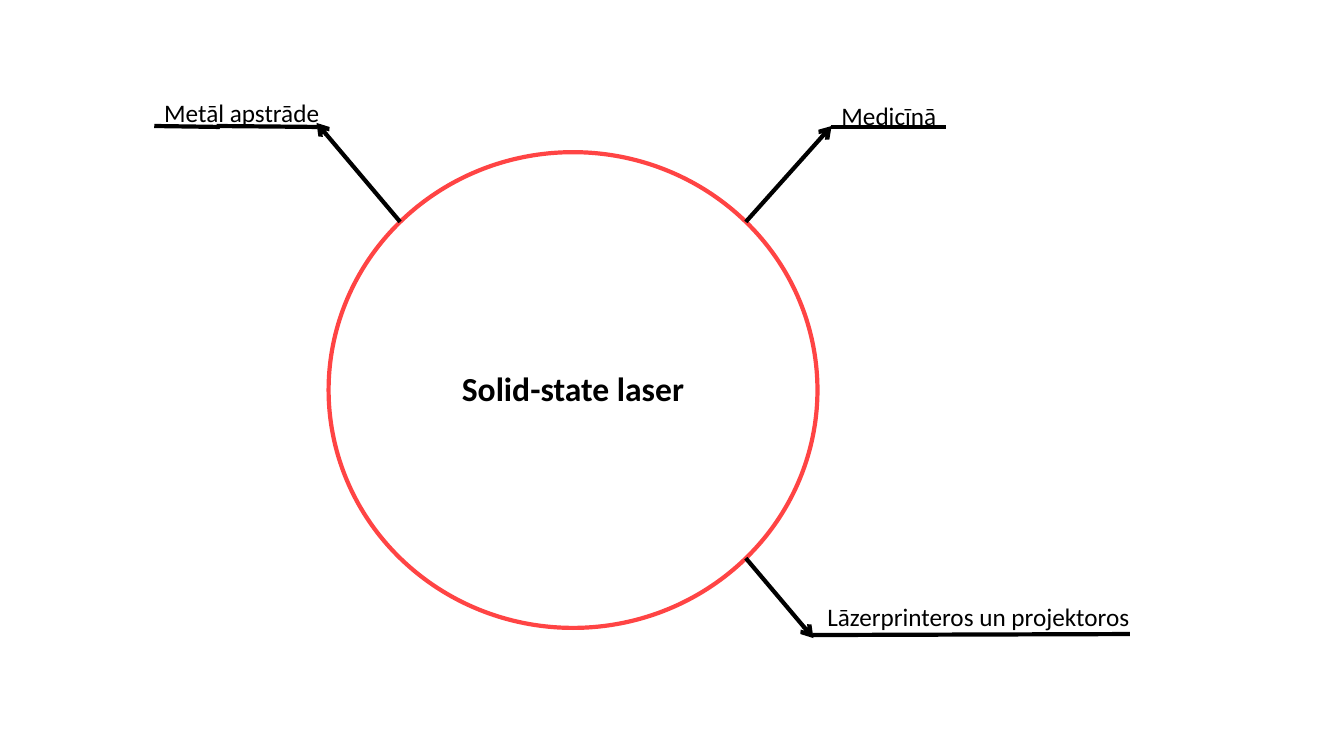
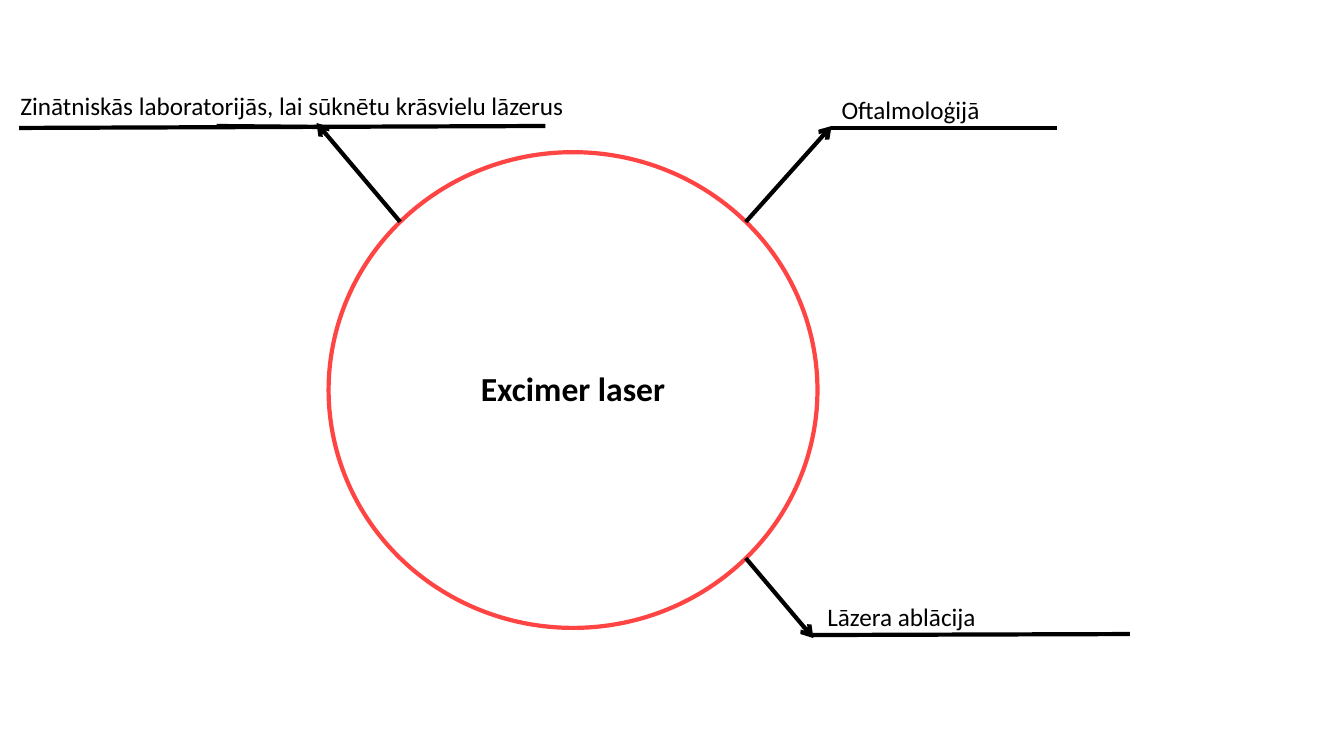
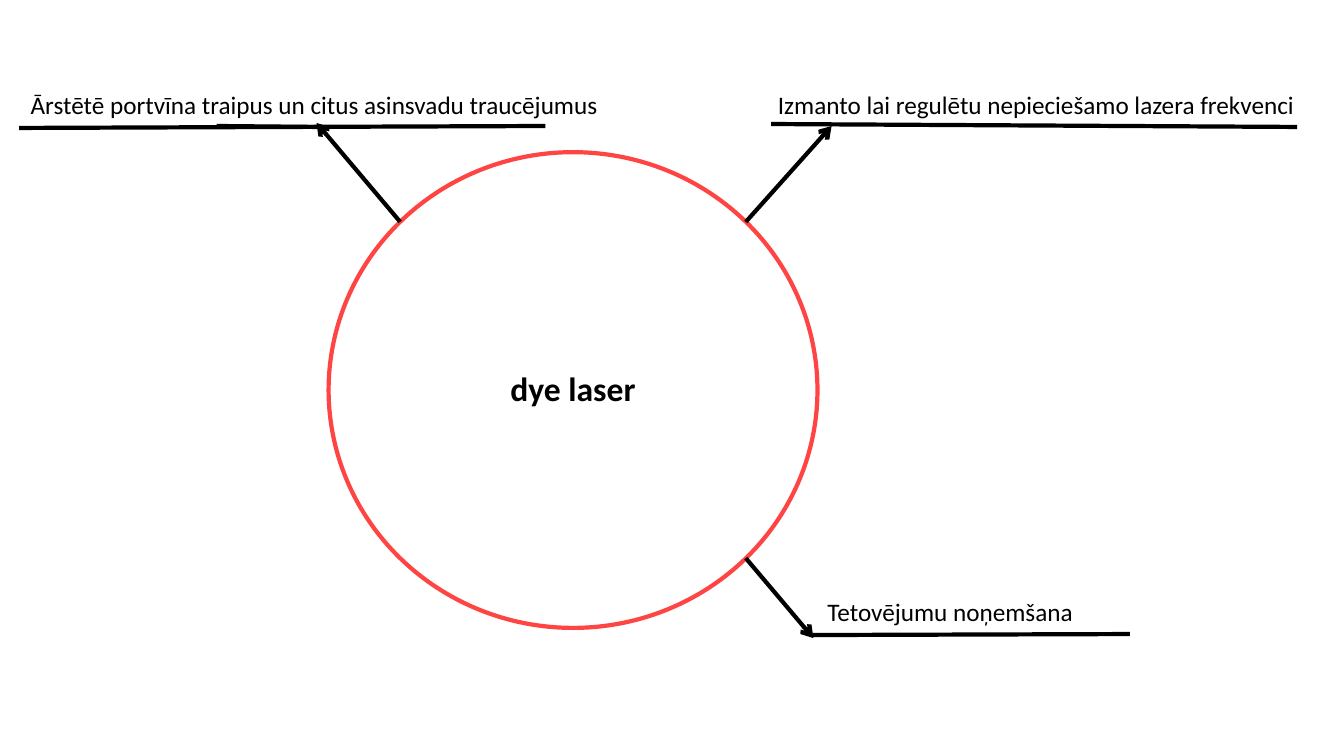
from math import sqrt

from lxml import etree
from pptx import Presentation
from pptx.dml.color import RGBColor
from pptx.enum.shapes import MSO_CONNECTOR, MSO_SHAPE
from pptx.enum.text import MSO_ANCHOR, MSO_AUTO_SIZE, PP_ALIGN
from pptx.oxml.ns import qn
from pptx.util import Pt

OVAL = MSO_SHAPE.OVAL
LINE = MSO_CONNECTOR.STRAIGHT
MIDDLE = MSO_ANCHOR.MIDDLE
GROW = MSO_AUTO_SIZE.SHAPE_TO_FIT_TEXT
LEFT, CENTER, RIGHT = PP_ALIGN.LEFT, PP_ALIGN.CENTER, PP_ALIGN.RIGHT

COLORS = {"ink": "000000", "ring": "FF4444"}
FONT = "Calibri"
STROKE = 3

# Ring: centre and radii; arrows leave it on the diagonals
MID_X, MID_Y = 409.3, 278.6
RAD_X, RAD_Y = 174.6, 169.9
# Side of the ring in x and y, then the arrow tip
ARROWS = [(1, -1, 594, 90), (-1, -1, 226.1, 87.8), (1, 1, 581, 455.8)]
# Underlines found on every slide
RULES = [(226.8, 90.7, 154.8, 90), (580.3, 453.6, 807.1, 452.9)]
LONG_RULE = (389.5, 90, 13.7, 91.4)


class Deck:
    def __init__(self):
        self.prs = Presentation()
        self.prs.slide_width, self.prs.slide_height = Pt(960), Pt(540)
        self.slide = None

    def color(self, name):
        return RGBColor.from_string(COLORS[name])

    def page(self):
        self.slide = self.prs.slides.add_slide(self.prs.slide_layouts[6])

    def ring(self):
        oval = self.slide.shapes.add_shape(
            OVAL, Pt(MID_X - RAD_X), Pt(MID_Y - RAD_Y), Pt(2 * RAD_X), Pt(2 * RAD_Y))
        oval.shadow.inherit = False
        oval.fill.background()
        oval.line.color.rgb = self.color("ring")
        oval.line.width = Pt(STROKE)

    def line(self, x1, y1, x2, y2, arrow=False):
        line = self.slide.shapes.add_connector(LINE, Pt(x1), Pt(y1), Pt(x2), Pt(y2))
        line.line.color.rgb = self.color("ink")
        line.line.width = Pt(STROKE)
        props = line._element.spPr
        if arrow:
            etree.SubElement(props.find(qn("a:ln")), qn("a:tailEnd"), type="arrow")
        etree.SubElement(props, qn("a:effectLst"))

    def text(self, text, x, y, wide, high, size, align, wrap=True, bold=False):
        box = self.slide.shapes.add_textbox(Pt(x), Pt(y), Pt(wide), Pt(high))
        frame = box.text_frame
        frame.word_wrap = wrap
        para = frame.paragraphs[0]
        para.text = text
        para.alignment = align
        font = para.font
        font.name, font.size, font.bold = FONT, Pt(size), bold
        font.color.rgb = self.color("ink")
        return frame

    def title(self, text):
        frame = self.text(text, 277.2, 234.7, 264.2, 88.6, 24, CENTER, bold=True)
        frame.vertical_anchor = MIDDLE
        para = frame.paragraphs[0]
        para.line_spacing = 0.9
        para.space_before = Pt(10)

    def label(self, text, x, y, wide, align=LEFT, wrap=False):
        frame = self.text(text, x, y, wide, 29, 18, align, wrap)
        frame.auto_size = GROW

    def spokes(self):
        for side_x, side_y, tip_x, tip_y in ARROWS:
            self.line(MID_X + side_x * RAD_X / sqrt(2),
                      MID_Y + side_y * RAD_Y / sqrt(2), tip_x, tip_y, arrow=True)


# Title, labels (text, x, y, width, align, wrap) and own underlines
PAGES = [
    ("Solid-state laser",
     [("Medicīnā", 594, 68.4, 82.1),
      ("Metāl apstrāde", 110.2, 66.2, 125.3),
      ("Lāzerprinteros un projektoros", 583.9, 426.2, 230.4)],
     [(593.3, 90.7, 675.4, 90.7), (157, 90.7, 110.2, 90)]),
    ("Excimer laser",
     [("Oftalmoloģijā", 594, 64.1, 157.7, LEFT, True),
      ("Zinātniskās laboratorijās, lai sūknētu krāsvielu lāzerus",
       7.2, 61.2, 402.5, RIGHT),
      ("Lāzera ablācija", 583.9, 426.2, 120.2)],
     [(593.3, 91.4, 755.3, 91.4), LONG_RULE]),
    ("dye laser",
     [("Izmanto lai regulētu nepieciešamo lazera frekvenci",
       548.6, 60.5, 411.1, LEFT, True),
      ("Ārstētē portvīna traipus un citus asinsvadu traucējumus",
       14.4, 60.5, 419.8, RIGHT),
      ("Tetovējumu noņemšana", 583.9, 422.6, 236.2, LEFT, True)],
     [(550.8, 88.6, 926.6, 90.7), LONG_RULE]),
]

deck = Deck()
for title, labels, rules in PAGES:
    deck.page()
    deck.title(title)
    deck.ring()
    deck.spokes()
    for rule in RULES + rules:
        deck.line(*rule)
    for label in labels:
        deck.label(*label)

deck.prs.save("out.pptx")
